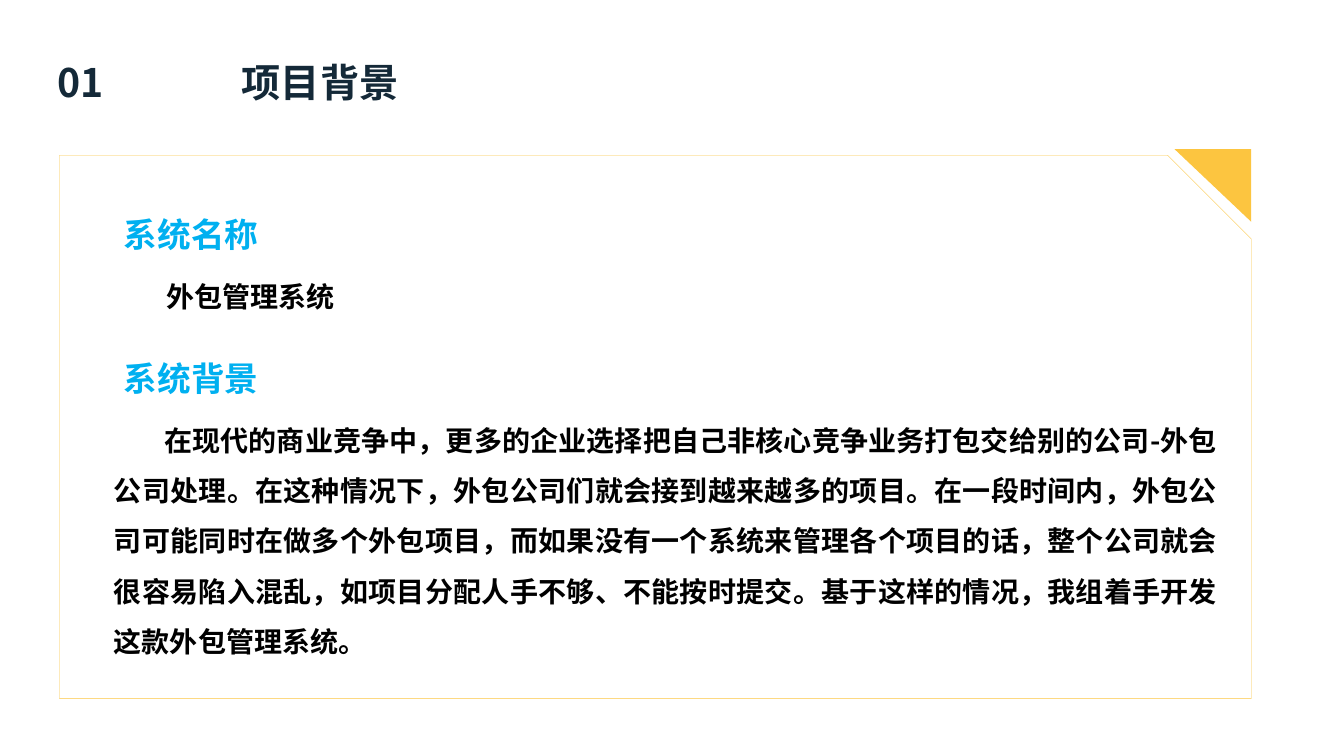
from dataclasses import dataclass

from lxml.etree import SubElement
from pptx import Presentation
from pptx.dml.color import RGBColor
from pptx.enum.shapes import MSO_SHAPE as Preset
from pptx.enum.text import MSO_AUTO_SIZE as AutoSize, PP_ALIGN as Align
from pptx.oxml.ns import qn
from pptx.util import Inches, Pt


@dataclass(frozen=True)
class Theme:
    font: str = "Noto Sans CJK SC"
    navy: str = "142938"
    blue: str = "00B0F0"
    black: str = "000000"
    white: str = "FFFFFF"
    yellow: str = "FCC540"
    title_size: int = 28
    heading_size: int = 24
    body_size: int = 20


THEME = Theme()
SYSTEM_NAME = "外包管理系统"
BACKGROUND = (
    "在现代的商业竞争中，更多的企业选择把自己非核心竞争业务打包交给别的公司-外包公司处理。"
    "在这种情况下，外包公司们就会接到越来越多的项目。"
    "在一段时间内，外包公司可能同时在做多个外包项目，"
    "而如果没有一个系统来管理各个项目的话，整个公司就会很容易陷入混乱，"
    "如项目分配人手不够、不能按时提交。"
    "基于这样的情况，我组着手开发这款外包管理系统。"
)


def add_text(page, box, text, size, color, align=Align.LEFT, wrap=True):
    frame = page.shapes.add_textbox(*map(Inches, box)).text_frame
    frame.word_wrap = wrap
    frame.auto_size = AutoSize.SHAPE_TO_FIT_TEXT if wrap else AutoSize.NONE
    para = frame.paragraphs[0]
    para.alignment = align
    span = para.add_run()
    span.text = text
    span.font.name = THEME.font
    span.font.size = Pt(size)
    span.font.bold = True
    span.font.color.rgb = RGBColor.from_string(color)
    SubElement(span.font._element, qn("a:ea"), typeface=THEME.font)
    return frame


def add_body(page, box, text):
    frame = add_text(page, box, text, THEME.body_size, THEME.black, Align.JUSTIFY)
    frame.margin_left = frame.margin_right = 0
    frame.margin_top = frame.margin_bottom = 0
    para = frame.paragraphs[0]
    para.line_spacing = 1.5
    para.space_before = Pt(12)
    para._p.get_or_add_pPr().set("indent", str(Inches(0.5)))


def add_heading(page, left, top, text):
    add_text(page, (left, top, 2.11, 0.34), text,
             THEME.heading_size, THEME.blue, wrap=False)


def paint(shape, color):
    shape.shadow.inherit = False
    shape.fill.solid()
    shape.fill.fore_color.rgb = RGBColor.from_string(color)


def add_title(page, left, top, number, title):
    add_text(page, (left, top, 0.69, 0.57), number,
             THEME.title_size, THEME.navy, Align.CENTER)
    add_text(page, (left + 1.85, top, 2.61, 0.57), title,
             THEME.title_size, THEME.navy)


def add_card(page, left, top, width, height):
    card = page.shapes.add_shape(
        Preset.SNIP_1_RECTANGLE, *map(Inches, (left, top, width, height)))
    card.adjustments[0] = 0.154
    paint(card, THEME.white)
    card.line.color.rgb = RGBColor.from_string(THEME.yellow)
    card.line.width = Pt(0.25)

    right, corner_top = left + width, top - 0.06
    builder = page.shapes.build_freeform(Inches(right), Inches(corner_top))
    builder.add_line_segments([
        (Inches(right - 0.76), Inches(corner_top)),
        (Inches(right), Inches(corner_top + 0.72)),
    ])
    corner = builder.convert_to_shape()
    paint(corner, THEME.yellow)
    corner.line.fill.background()

    text_left = left + 0.54
    add_heading(page, text_left, top + 0.53, "系统名称")
    add_body(page, (text_left + 0.02, top + 1.07, 2.29, 0.46), SYSTEM_NAME)
    add_heading(page, text_left, top + 1.96, "系统背景")
    add_body(page, (text_left, top + 2.49, 10.94, 2.52), BACKGROUND)


def main():
    deck = Presentation()
    deck.slide_width, deck.slide_height = Inches(13.33), Inches(7.5)
    page = deck.slides.add_slide(deck.slide_layouts[6])
    add_title(page, 0.45, 0.53, "01", "项目背景")
    add_card(page, 0.59, 1.54, 11.82, 5.39)
    deck.save("out.pptx")


if __name__ == "__main__":
    main()
